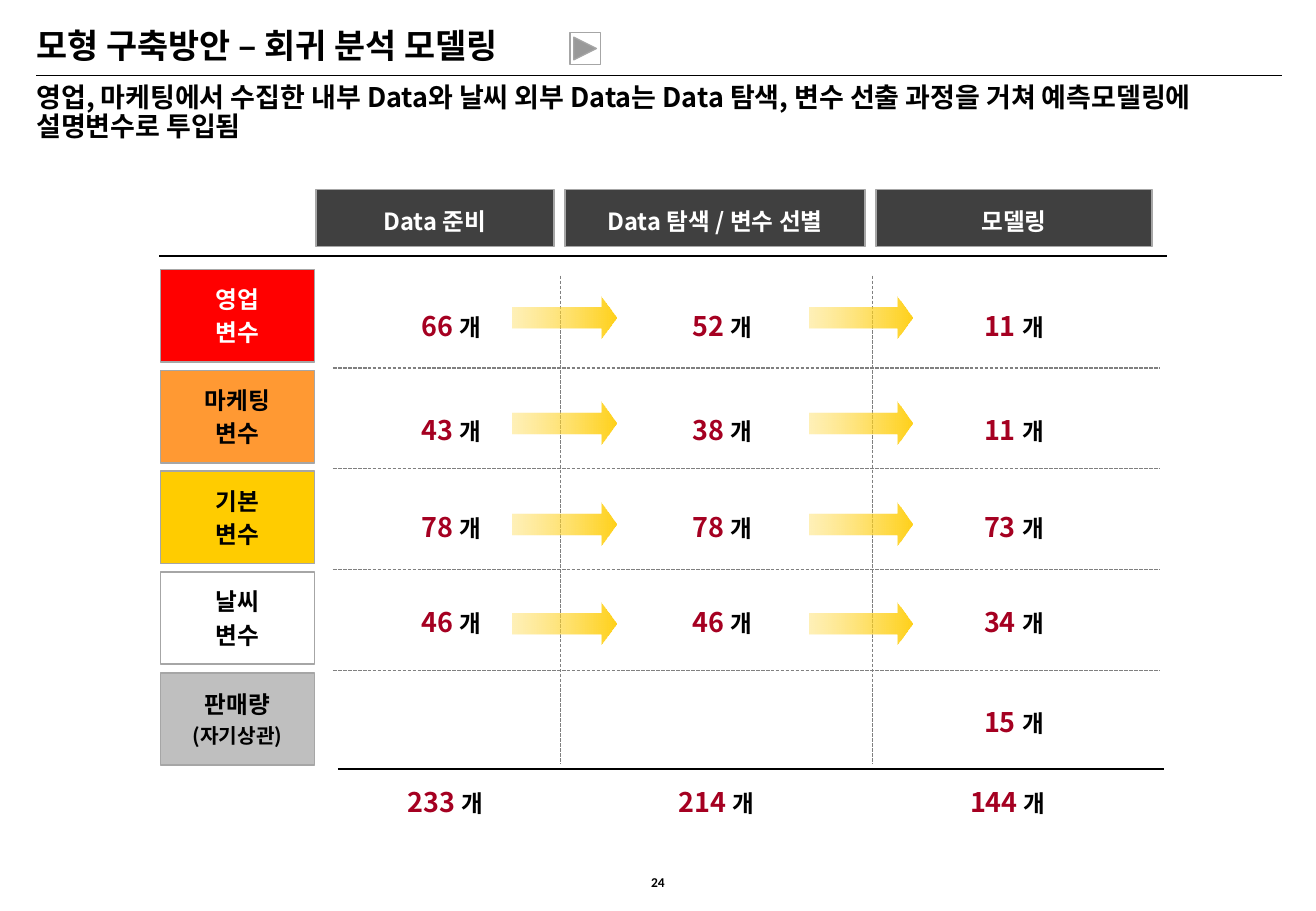
from lxml import etree
from pptx import Presentation
from pptx import util as u
from pptx.dml.color import RGBColor
from pptx.enum import dml, shapes, text
from pptx.oxml.ns import qn

FONT = "Noto Sans CJK KR"
BLACK = RGBColor(0, 0, 0)
WHITE = RGBColor(255, 255, 255)
RED = RGBColor(255, 0, 0)
ORANGE = RGBColor(0xFF, 0x99, 0x33)
YELLOW = RGBColor(0xFF, 0xCC, 0)
PALE_YELLOW = RGBColor(0xFF, 0xDB, 0x4D)
SILVER = RGBColor(0xBF, 0xBF, 0xBF)
EDGE = RGBColor(0xA6, 0xA6, 0xA6)
DASH = RGBColor(0x80, 0x80, 0x80)
CHARCOAL = RGBColor(0x40, 0x40, 0x40)
CRIMSON = RGBColor(0xA5, 0, 0x21)

WIDTH, HEIGHT = 10.83, 7.5
ROW_STEP, ROW_HEIGHT = 0.83, 0.76
HEADERS = [("Data 준비", 1.29, 1.96), ("Data 탐색 / 변수 선별", 3.34, 2.47), ("모델링", 5.9, 2.27)]
COUNT_LEFTS = [1.77, 4, 6.4]
ARROW_LEFTS = [2.91, 5.35]
DIVIDERS = [3.3, 5.87]
TOTALS = [233, 214, 144]
ROWS = [
    ("영업", "변수", RED, WHITE, [66, 52, 11], 0.25, 0.22),
    ("마케팅", "변수", ORANGE, BLACK, [43, 38, 11], 0.28, 0.26),
    ("기본", "변수", YELLOW, BLACK, [78, 78, 73], 0.25, 0.26),
    ("날씨", "변수", WHITE, BLACK, [46, 46, 34], 0.2, 0.25),
    ("판매량", "(자기상관)", SILVER, BLACK, [None, None, 15], 0.19, 0),
]


def write(sp, paragraphs, size=14, color=BLACK, font=FONT, align=text.PP_ALIGN.CENTER,
          anchor=text.MSO_ANCHOR.TOP, wrap=True, inset=0, spacing=None, gap=0, indent=0):
    tf = sp.text_frame
    tf.word_wrap, tf.vertical_anchor = wrap, anchor
    tf.margin_left = tf.margin_right = u.Inches(inset)
    tf.margin_top = tf.margin_bottom = u.Inches(inset / 2)
    for i, runs in enumerate(paragraphs):
        p = tf.add_paragraph() if i else tf.paragraphs[0]
        p.alignment = align
        if spacing:
            p.line_spacing = spacing
        if i:
            p.space_before = u.Pt(gap)
        if indent:
            pPr = p._p.get_or_add_pPr()
            pPr.set("marL", str(u.Inches(indent)))
            pPr.set("indent", str(-u.Inches(indent)))
        for words, changes in runs:
            r = p.add_run()
            r.text = words
            r.font.name, r.font.bold = font, True
            r.font.size = u.Pt(changes.get("size", size))
            r.font.color.rgb = changes.get("color", color)
            rPr = r._r.get_or_add_rPr()
            etree.SubElement(rPr, qn("a:ea")).set("typeface", font)
            if "kern" in changes:
                rPr.set("spc", str(changes["kern"]))


def add_text(s, x, y, w, h, paragraphs, **fmt):
    sp = s.shapes.add_textbox(u.Inches(x), u.Inches(y), u.Inches(w), u.Inches(h))
    write(sp, paragraphs, **fmt)


def add_box(s, x, y, w, h, fill, kind=shapes.MSO_SHAPE.RECTANGLE, weight=1):
    sp = s.shapes.add_shape(kind, u.Inches(x), u.Inches(y), u.Inches(w), u.Inches(h))
    sp.shadow.inherit = False
    sp.fill.solid()
    sp.fill.fore_color.rgb = fill
    sp.line.color.rgb = EDGE
    sp.line.width = u.Pt(weight)
    return sp


def add_line(s, x1, y1, x2, y2, color=BLACK, weight=1, dashed=False):
    ln = s.shapes.add_connector(shapes.MSO_CONNECTOR.STRAIGHT, u.Inches(x1), u.Inches(y1),
                                u.Inches(x2), u.Inches(y2))
    ln.line.color.rgb = color
    ln.line.width = u.Pt(weight)
    if dashed:
        ln.line.dash_style = dml.MSO_LINE.SQUARE_DOT
    etree.SubElement(ln._element.spPr, qn("a:effectLst"))


def add_arrow(s, x, y):
    sp = add_box(s, x, y, 0.85, 0.35, YELLOW, shapes.MSO_SHAPE.RIGHT_ARROW)
    sp.adjustments[0], sp.adjustments[1] = 0.49, 0.37
    sp.line.fill.background()
    sp.fill.gradient()
    sp.fill.gradient_angle = 0
    for stop, color in zip(sp.fill.gradient_stops, (PALE_YELLOW, YELLOW)):
        stop.color.rgb = color
    colors = sp._element.spPr.iter(qn("a:srgbClr"))
    for node, alpha in zip(list(colors), (40, 90)):
        etree.SubElement(node, qn("a:alpha")).set("val", str(alpha * 1000))


def add_count(s, x, y, count):
    runs = [(f"{count} ", {"size": 16, "color": CRIMSON}), ("개", {"kern": -50})]
    add_text(s, x, y, 1.27, 0.4, [runs], inset=0.1, spacing=1.1, indent=0.1)


def heading(s, x, y, w):
    left = text.PP_ALIGN.LEFT
    add_text(s, x, y, w, 0.5, [[("모형 구축방안 – 회귀 분석 모델링", {})]], size=20,
             align=left, anchor=text.MSO_ANCHOR.MIDDLE)
    add_box(s, x + 4.39, y + 0.15, 0.25, 0.26, WHITE,
            shapes.MSO_SHAPE.ACTION_BUTTON_FORWARD_OR_NEXT, 0.75)
    add_line(s, x, y + 0.5, x + w, y + 0.5, weight=0.75)
    message = ("영업, 마케팅에서 수집한 내부 Data와 날씨 외부 Data는 Data 탐색, "
               "변수 선출 과정을 거쳐 예측모델링에 설명변수로 투입됨")
    add_text(s, x, y + 0.57, w - 0.04, 0.59, [[(message, {})]], size=16, align=left, spacing=0.9)


def variable_grid(s, x, y, w):
    middle = text.MSO_ANCHOR.MIDDLE
    for label, left, width in HEADERS:
        sp = add_box(s, x + left, y, width, 0.47, CHARCOAL)
        write(sp, [[(label, {})]], color=WHITE, anchor=middle, wrap=False, spacing=1.2)
    add_line(s, x, y + 0.55, x + w, y + 0.55)
    for left in DIVIDERS:
        add_line(s, x + left, y + 0.71, x + left, y + 4.73, DASH, 0.75, True)

    for i, (name, detail, fill, color, counts, count_drop, arrow_drop) in enumerate(ROWS):
        top = y + 0.66 + i * ROW_STEP
        last = i == len(ROWS) - 1
        sp = add_box(s, x + 0.01, top, 1.27, ROW_HEIGHT, fill)
        write(sp, [[(name, {})], [(detail, {"size": 12 if last else 14})]], color=color,
              anchor=middle, wrap=False, gap=3)
        for left, count in zip(COUNT_LEFTS, counts):
            if count is not None:
                add_count(s, x + left, top + count_drop, count)
        if not last:
            rule = top + 0.81
            add_line(s, x + 1.43, rule, x + 8.23, rule, DASH, 0.75, True)
            for left in ARROW_LEFTS:
                add_arrow(s, x + left, top + arrow_drop)

    add_line(s, x + 1.47, y + 4.77, x + 8.27, y + 4.77)
    for left, total in zip(COUNT_LEFTS, TOTALS):
        add_count(s, x + left - 0.05, y + 4.83, total)


def main():
    prs = Presentation()
    prs.slide_width, prs.slide_height = u.Inches(WIDTH), u.Inches(HEIGHT)
    s = prs.slides.add_slide(prs.slide_layouts[6])
    heading(s, 0.3, 0.12, 10.25)
    variable_grid(s, 1.31, 1.56, 8.29)
    add_text(s, WIDTH / 2 - 0.24, HEIGHT * 0.96, 0.48, 0.13, [[("24", {})]], size=8, font="Calibri",
             anchor=text.MSO_ANCHOR.MIDDLE)
    prs.save("out.pptx")


if __name__ == "__main__":
    main()
